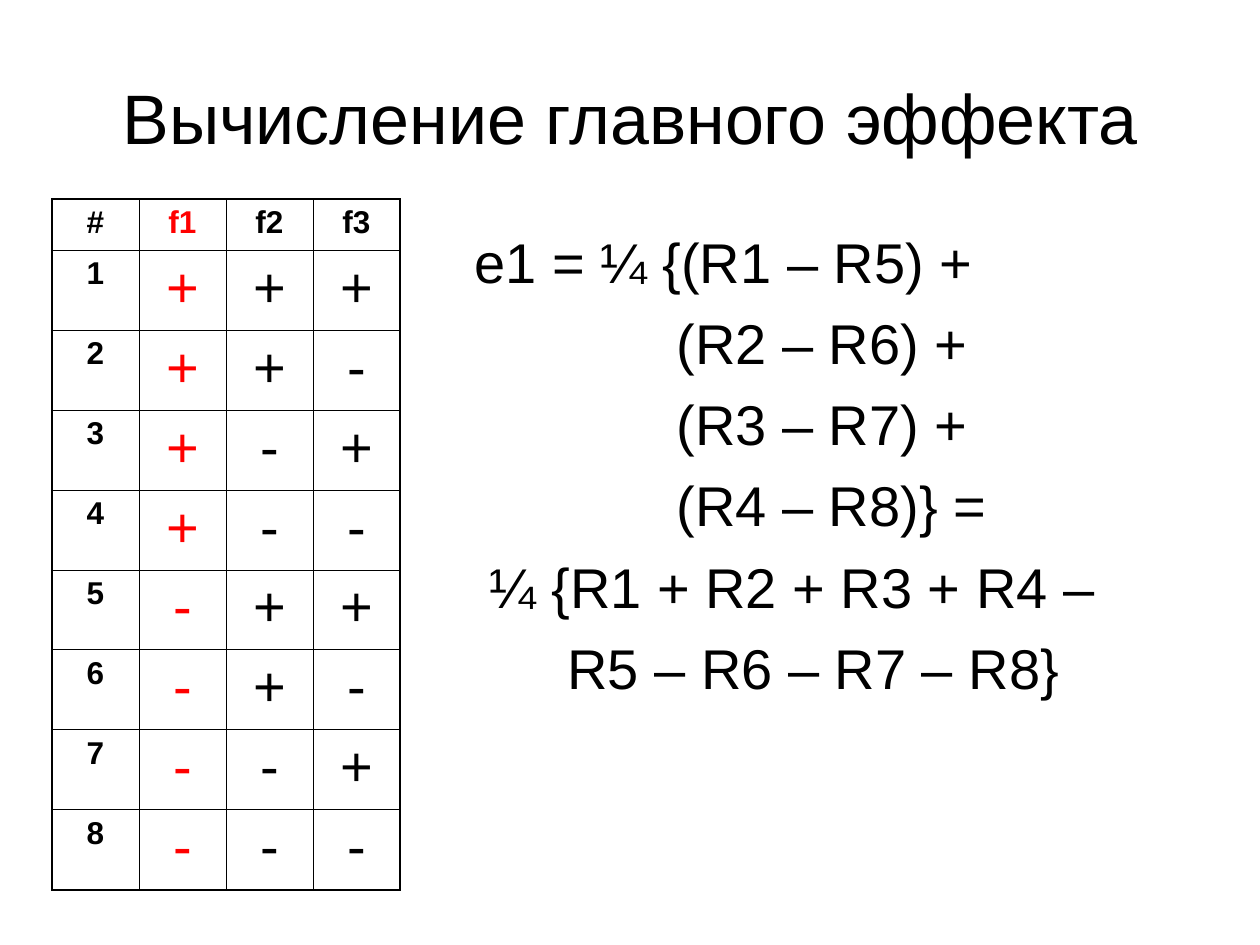
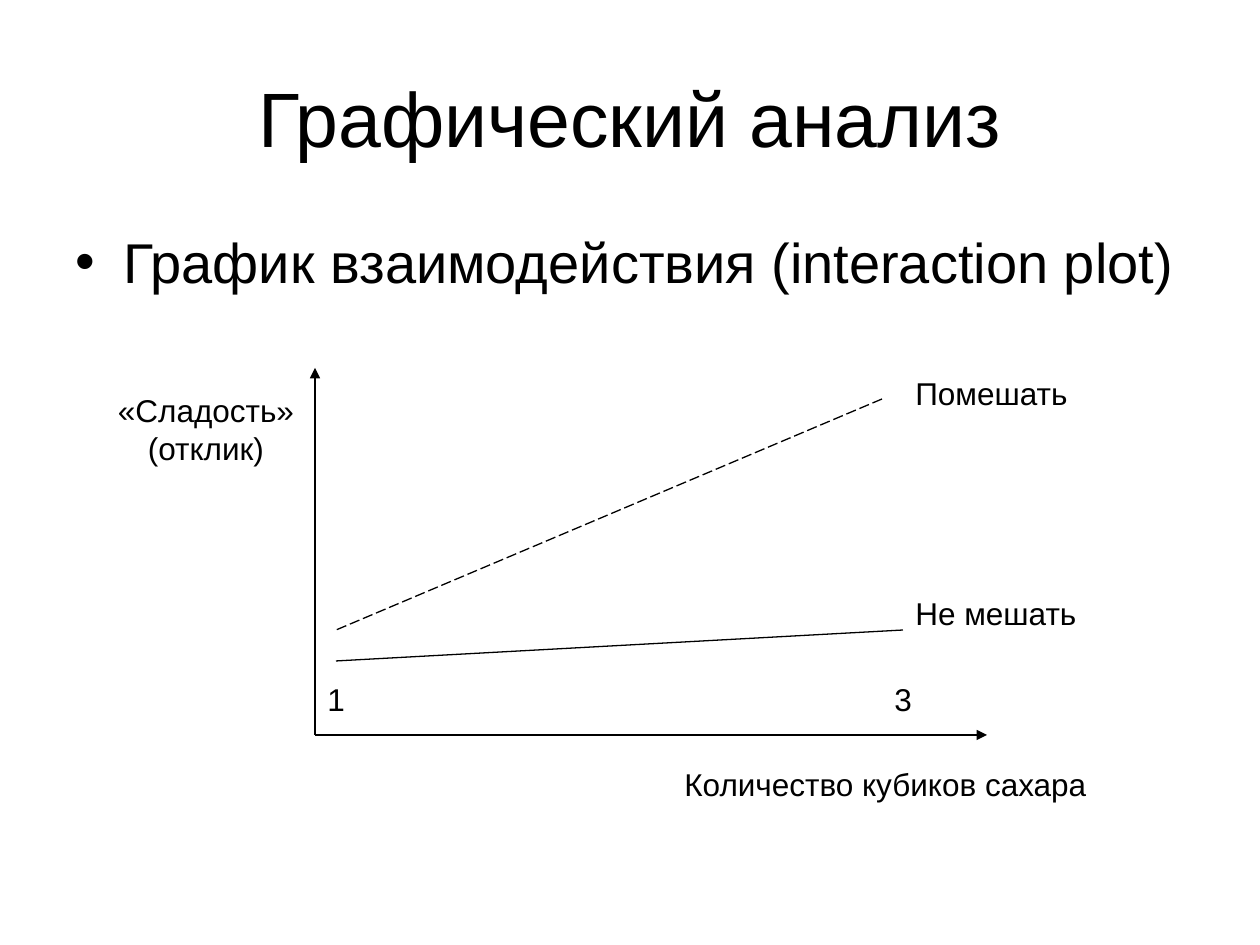
"""Builds two slides on factorial experiments: a main effect and an interaction plot."""
from dataclasses import dataclass
from itertools import product

from lxml.etree import SubElement
from pptx import Presentation
from pptx.dml.color import RGBColor
from pptx.enum.dml import MSO_LINE
from pptx.enum.shapes import MSO_CONNECTOR
from pptx.enum.text import MSO_ANCHOR, MSO_AUTO_SIZE, PP_ALIGN
from pptx.oxml.ns import qn
from pptx.util import Emu, Pt

PX_PER_INCH = 126
BLACK = RGBColor(0x00, 0x00, 0x00)
RED = RGBColor(0xFF, 0x00, 0x00)
FONT = "Arial"
BODY_SIZE = 32
LABEL_SIZE = 18
HANGING = 48
INNER_BORDER, OUTER_BORDER = 0.45, 1.08


@dataclass(frozen=True)
class Box:
    left: int
    top: int
    width: int
    height: int

    def emu(self) -> tuple:
        return tuple(map(px, (self.left, self.top, self.width, self.height)))


@dataclass(frozen=True)
class BodyLine:
    text: str
    indent: int = 0
    bullet: str = ""


@dataclass(frozen=True)
class PlotLine:
    start: tuple[int, int]
    end: tuple[int, int]
    dashed: bool = False
    arrow: bool = False


@dataclass(frozen=True)
class Label:
    text: str
    box: Box
    align: PP_ALIGN = PP_ALIGN.LEFT


TITLE_BOX = Box(63, 38, 1134, 158)

FORMULA = [
    BodyLine("e1 = ¼ {(R1 – R5) +"),
    BodyLine("(R2 – R6) +", 202),
    BodyLine("(R3 – R7) +", 202),
    BodyLine("(R4 – R8)} =", 202),
    BodyLine("¼ {R1 + R2 + R3 + R4 –", 15),
    BodyLine("R5 – R6 – R7 – R8}", 93),
]

PLOT_LINES = [
    PlotLine((336, 661), (903, 630)),
    PlotLine((882, 399), (336, 630), dashed=True),
    PlotLine((315, 735), (987, 735), arrow=True),
    PlotLine((315, 735), (315, 368), arrow=True),
]

PLOT_LABELS = [
    Label("Количество кубиков сахара", Box(672, 759, 427, 50)),
    Label("«Сладость»\n(отклик)", Box(105, 385, 202, 88), PP_ALIGN.CENTER),
    Label("1", Box(315, 674, 43, 50)),
    Label("3", Box(882, 674, 43, 50)),
    Label("Помешать", Box(903, 368, 178, 50)),
    Label("Не мешать", Box(903, 588, 186, 50)),
]


def px(length: int) -> Emu:
    """Turn pixels into EMU."""
    return Emu(round(length * 914400 / PX_PER_INCH))


def style(paragraph, size: int, color: RGBColor = BLACK, bold: bool = False,
          align: PP_ALIGN = PP_ALIGN.LEFT) -> None:
    """Set the alignment and font of a paragraph."""
    paragraph.alignment = align
    font = paragraph.font
    font.name, font.size, font.bold = FONT, Pt(size), bold
    font.color.rgb = color


def add_titled_slide(deck, title: str, size: int):
    """Add a title-only slide with its title placed and formatted."""
    slide = deck.slides.add_slide(deck.slide_layouts[5])
    heading = slide.shapes.title
    heading.left, heading.top, heading.width, heading.height = TITLE_BOX.emu()
    heading.text_frame.text = title
    heading.text_frame.vertical_anchor = MSO_ANCHOR.MIDDLE
    style(heading.text_frame.paragraphs[0], size, align=PP_ALIGN.CENTER)
    return slide


def add_body(slide, box: Box, lines: list[BodyLine]) -> None:
    """Add the large body text, one paragraph a line."""
    frame = slide.shapes.add_textbox(*box.emu()).text_frame
    frame.word_wrap = True
    frame.text = "\n".join(line.text for line in lines)
    for number, (paragraph, line) in enumerate(zip(frame.paragraphs, lines)):
        properties = paragraph._p.get_or_add_pPr()
        properties.set("marL", str(px(line.indent)))
        if line.bullet:
            properties.set("indent", str(-px(HANGING)))
            SubElement(properties, qn("a:buFont"), typeface=FONT)
            SubElement(properties, qn("a:buChar"), char=line.bullet)
        if number:
            paragraph.space_before = Pt(8)
        style(paragraph, BODY_SIZE)


def set_border(cell, side: str, width: float) -> None:
    """Draw one black border of a table cell."""
    line = SubElement(cell._tc.get_or_add_tcPr(), qn(f"a:{side}"), w=str(Pt(width)))
    fill = SubElement(line, qn("a:solidFill"))
    SubElement(fill, qn("a:srgbClr"), val=str(BLACK))


def add_design_table(slide) -> None:
    """Add the full factorial design with its first factor in red."""
    header = ("#", "f1", "f2", "f3")
    runs = [(str(number), *signs)
            for number, signs in enumerate(product("+-", repeat=3), 1)]
    rows = [header, *runs]
    column_width, header_height, run_height = 87, 51, 80
    box = Box(52, 199, column_width * len(header), header_height + run_height * len(runs))
    table = slide.shapes.add_table(len(rows), len(header), *box.emu()).table
    table.first_row = table.horz_banding = False
    for column in table.columns:
        column.width = px(column_width)
    for r, row in enumerate(rows):
        table.rows[r].height = px(run_height if r else header_height)
        for c, text in enumerate(row):
            cell = table.cell(r, c)
            cell.text = text
            is_heading = r == 0 or c == 0
            style(cell.text_frame.paragraphs[0], LABEL_SIZE if is_heading else BODY_SIZE,
                  RED if c == 1 else BLACK, is_heading, PP_ALIGN.CENTER)
            outer_sides = {"lnL": c == 0, "lnR": c == len(header) - 1,
                           "lnT": r == 0, "lnB": r == len(runs)}
            for side, is_outer in outer_sides.items():
                set_border(cell, side, OUTER_BORDER if is_outer else INNER_BORDER)
            cell.fill.background()


def add_plot_line(slide, plot_line: PlotLine) -> None:
    """Draw an axis or a response line."""
    ends = map(px, (*plot_line.start, *plot_line.end))
    connector = slide.shapes.add_connector(MSO_CONNECTOR.STRAIGHT, *ends)
    connector.line.color.rgb = BLACK
    connector.line.width = Pt(0.75)
    if plot_line.dashed:
        connector.line.dash_style = MSO_LINE.LONG_DASH
    if plot_line.arrow:
        SubElement(connector.line._get_or_add_ln(), qn("a:tailEnd"), type="triangle")
    SubElement(connector._element.spPr, qn("a:effectLst"))


def add_label(slide, label: Label) -> None:
    """Add a small caption to the plot."""
    frame = slide.shapes.add_textbox(*label.box.emu()).text_frame
    frame.word_wrap = False
    frame.auto_size = MSO_AUTO_SIZE.SHAPE_TO_FIT_TEXT
    frame.text = label.text
    for paragraph in frame.paragraphs:
        style(paragraph, LABEL_SIZE, align=label.align)


def main() -> None:
    """Build both slides and save the deck."""
    deck = Presentation()
    deck.slide_width, deck.slide_height = px(1260), px(945)

    main_effect = add_titled_slide(deck, "Вычисление главного эффекта", 40)
    add_body(main_effect, Box(462, 221, 735, 624), FORMULA)
    add_design_table(main_effect)

    interaction = add_titled_slide(deck, "Графический анализ", 44)
    add_body(interaction, Box(63, 221, 1134, 624),
             [BodyLine("График взаимодействия (interaction plot)", HANGING, "•")])
    for plot_line in PLOT_LINES:
        add_plot_line(interaction, plot_line)
    for label in PLOT_LABELS:
        add_label(interaction, label)
    deck.save("out.pptx")


if __name__ == "__main__":
    main()
